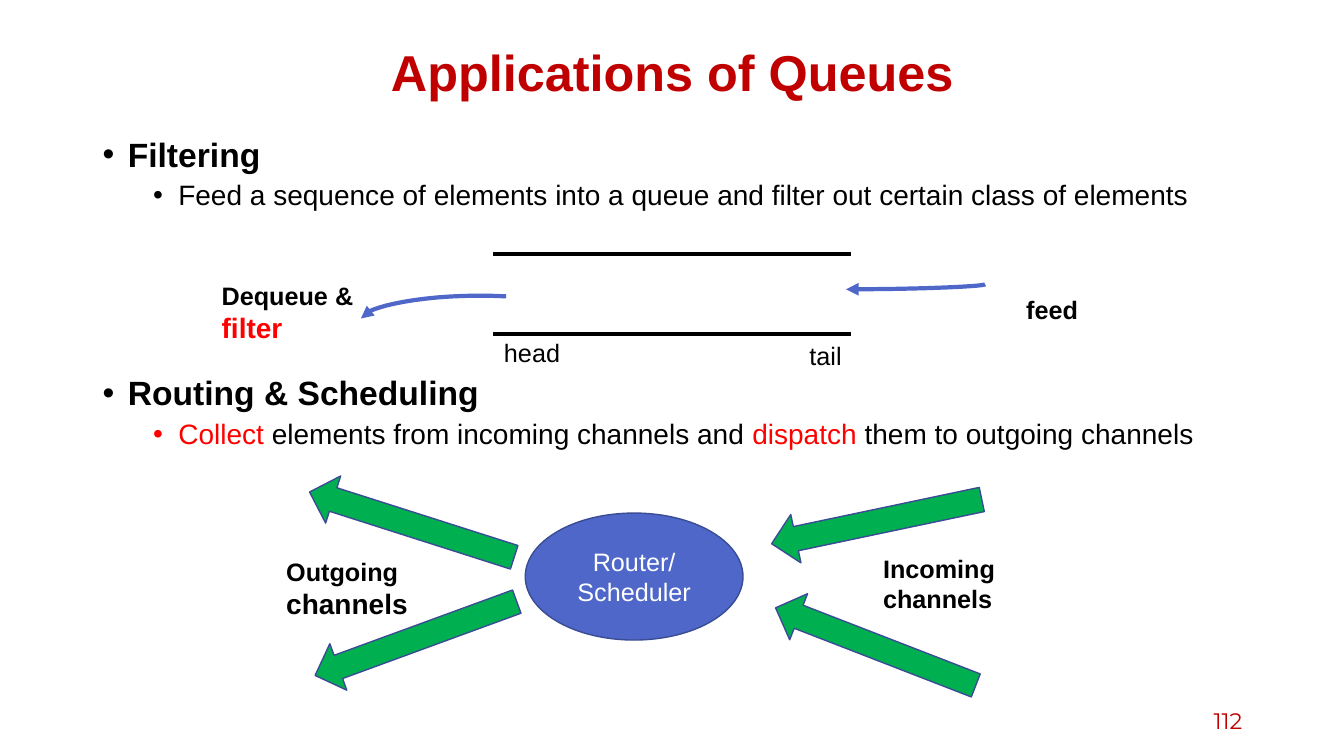
from lxml import etree
from pptx import Presentation
from pptx import util as u
from pptx.dml.color import RGBColor
from pptx.enum import shapes, text
from pptx.oxml import ns

COLORS = {"title": "C00000", "black": "000000", "red": "FF0000",
          "blue": "4E67C8", "edge": "3A4C94", "green": "00B050", "white": "FFFFFF"}
IN = u.Inches
SHAPE = shapes.MSO_SHAPE
TOP, MID = text.MSO_ANCHOR.TOP, text.MSO_ANCHOR.MIDDLE
LEFT, CENTER, RIGHT = text.PP_ALIGN.LEFT, text.PP_ALIGN.CENTER, text.PP_ALIGN.RIGHT


def rgb(name):
    return RGBColor.from_string(COLORS[name])


def write(frame, paras, align=LEFT, anchor=TOP, font="Arial"):
    """Each paragraph is a list of runs: (words, size, color, bold)."""
    frame.word_wrap = True
    frame.vertical_anchor = anchor
    for i, runs in enumerate(paras):
        para = frame.paragraphs[0] if i == 0 else frame.add_paragraph()
        para.alignment = align
        for words, size, color, bold in runs:
            run = para.add_run()
            run.text = words
            run.font.name = font
            run.font.size = u.Pt(size)
            run.font.bold = bold
            run.font.color.rgb = rgb(color)


prs = Presentation()
prs.slide_width, prs.slide_height = IN(13.33), IN(7.5)
slide = prs.slides.add_slide(prs.slide_layouts[6])
items = slide.shapes

# Title
title = items.add_textbox(IN(0.92), IN(0.4), IN(11.5), IN(0.7)).text_frame
write(title, [[("Applications of Queues", 36, "title", True)]], CENTER, MID)
title.paragraphs[0].line_spacing = 0.9

# Bullets
body = items.add_textbox(IN(0.92), IN(1.32), IN(11.5), IN(5.51)).text_frame
write(body, [
    [("Filtering", 24, "black", True)],
    [("Feed a sequence of elements into a queue and filter out certain class of elements",
      20, "black", False)],
    [("Routing & Scheduling", 24, "black", True)],
    [("Collect", 20, "red", False),
     (" elements from incoming channels and ", 20, "black", False),
     ("dispatch", 20, "red", False),
     (" them to outgoing channels", 20, "black", False)],
])
for para, level, before in zip(body.paragraphs, (0, 1, 0, 1), (0, 5, 118, 5)):
    para.level = level
    para.line_spacing = 0.9
    para.space_before = u.Pt(before)
    props = para._p.get_or_add_pPr()
    props.set("marL", str(IN(0.25 + 0.5 * level)))
    props.set("indent", str(IN(-0.25)))
    etree.SubElement(props, ns.qn("a:buFont")).set("typeface", "Arial")
    etree.SubElement(props, ns.qn("a:buChar")).set("char", "•")

# Page number
page = items.add_textbox(IN(9.42), IN(6.95), IN(3), IN(0.4)).text_frame
write(page, [[("112", 16, "title", False)]], RIGHT, MID, "Montserrat")

# Queue walls
for y in (2.52, 3.31):
    wall = items.add_connector(shapes.MSO_CONNECTOR.STRAIGHT, IN(8.44), IN(y), IN(4.89), IN(y))
    wall.line.color.rgb = rgb("black")
    wall.line.width = u.Pt(3)
    etree.SubElement(wall._element.spPr, ns.qn("a:effectLst"))

# Curved arrows into and out of the queue, as sampled Bezier curves
curves = [((9.77, 2.82), (9.77, 2.84), (9.15, 2.87), (8.39, 2.87)),
          ((5.02, 2.94), (4.23, 2.9), (3.59, 3.05), (3.58, 3.16))]
STEPS = 16
for knots in curves:
    dots = []
    for i in range(STEPS + 1):
        t = i / STEPS
        parts = ((1 - t) ** 3, 3 * t * (1 - t) ** 2, 3 * t * t * (1 - t), t ** 3)
        dots.append([IN(sum(w * k[axis] for w, k in zip(parts, knots))) for axis in (0, 1)])
    pen = items.build_freeform(*dots[0])
    pen.add_line_segments(dots[1:], close=False)
    curve = pen.convert_to_shape()
    curve.shadow.inherit = False
    curve.fill.background()
    curve.line.color.rgb = rgb("blue")
    curve.line.width = u.Pt(3)
    etree.SubElement(curve.line._get_or_add_ln(), ns.qn("a:tailEnd")).set("type", "triangle")

# Router
router = items.add_shape(SHAPE.OVAL, IN(5.21), IN(5.09), IN(2.16), IN(1.26))
router.fill.solid()
router.fill.fore_color.rgb = rgb("blue")
write(router.text_frame, [[("Router/", 18, "white", False)],
                          [("Scheduler", 18, "white", False)]], CENTER, MID)

# Channel arrows
channels = [router]
for x, y, turn in ((8.45, 4.11, 78.1), (8.44, 5.35, 111.2),
                   (3.84, 4.14, 107.7), (3.88, 5.27, 69.9)):
    arrow = items.add_shape(SHAPE.DOWN_ARROW, IN(x), IN(y), IN(0.49), IN(2.13))
    arrow.rotation = turn
    arrow.fill.solid()
    arrow.fill.fore_color.rgb = rgb("green")
    channels.append(arrow)
for shape in channels:
    shape.shadow.inherit = False
    shape.line.color.rgb = rgb("edge")
    shape.line.width = u.Pt(1)

# Labels
labels = [
    (8.66, 5.44, 1.68, 0.71, [[("Incoming channels", 18, "black", True)]]),
    (2.1, 2.73, 1.68, 0.74, [[("Dequeue &", 18, "black", True)], [("filter", 20, "red", True)]]),
    (7.93, 3.33, 0.63, 0.42, [[("tail", 18, "black", False)]]),
    (4.9, 3.3, 0.89, 0.4, [[("head", 18, "black", False)]]),
    (10.08, 2.87, 1.68, 0.4, [[("feed", 18, "black", True)]]),
    (2.74, 5.44, 1.68, 0.77, [[("Outgoing", 18, "black", True), (" channels", 20, "black", True)]]),
]
for x, y, w, h, paras in labels:
    write(items.add_textbox(IN(x), IN(y), IN(w), IN(h)).text_frame, paras)

prs.save("out.pptx")
